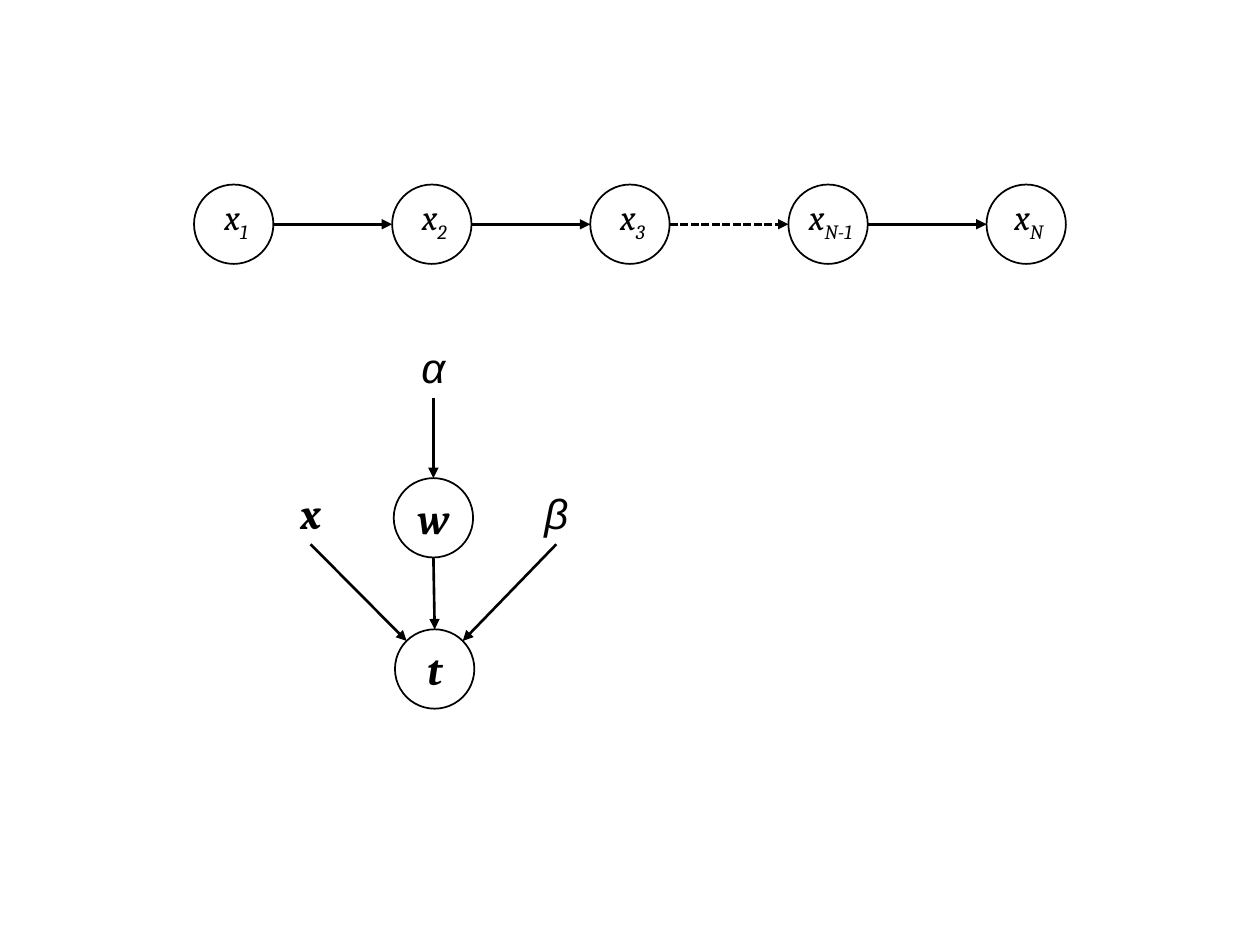
import math
from dataclasses import dataclass
from itertools import pairwise

from pptx import Presentation
from pptx import util as u
from pptx.dml.color import RGBColor
from pptx.enum import dml, shapes, text
from pptx.oxml.ns import qn
from lxml import etree

BLACK = "000000"
DIAMETER = 0.63
RADIUS = DIAMETER / 2
LABEL_W, LABEL_H = 0.49, 0.5
DIAGONAL = RADIUS * math.cos(math.pi / 4)
CHAIN_FONT = {"name": "Cambria", "size": u.Pt(20), "italic": True}
BOLD_FONT = {"name": "Cambria", "size": u.Pt(24), "bold": True, "italic": True}
GREEK_FONT = {"name": "Arial", "size": u.Pt(24), "italic": True}
CHAIN_MARGINS = {"margin_left": 0.04, "margin_top": 0, "margin_right": 0, "margin_bottom": 0.08}


@dataclass
class Node:
    symbol: str
    cx: float
    cy: float
    font: dict
    subscript: str = ""


def color(hex_code: str) -> RGBColor:
    return RGBColor.from_string(hex_code)


def write(tf, node: Node) -> None:
    tf.word_wrap = True
    p = tf.paragraphs[0]
    p.alignment = text.PP_ALIGN.CENTER
    for content, baseline in ((node.symbol, None), (node.subscript, "-25000")):
        if not content:
            continue
        r = p.add_run()
        r.text = content
        for name, value in node.font.items():
            setattr(r.font, name, value)
        r.font.color.rgb = color(BLACK)
        if baseline:
            r.font._element.set("baseline", baseline)


def draw_circle(s, node: Node, margins: dict):
    sp = s.shapes.add_shape(
        shapes.MSO_SHAPE.OVAL,
        u.Inches(node.cx - RADIUS), u.Inches(node.cy - RADIUS),
        u.Inches(DIAMETER), u.Inches(DIAMETER),
    )
    sp.shadow.inherit = False
    sp.fill.background()
    sp.line.color.rgb = color(BLACK)
    sp.line.width = u.Pt(1)
    tf = sp.text_frame
    tf.vertical_anchor = text.MSO_ANCHOR.MIDDLE
    for name, value in margins.items():
        setattr(tf, name, u.Inches(value))
    write(tf, node)
    return sp


def draw_label(s, node: Node):
    sp = s.shapes.add_textbox(
        u.Inches(node.cx - LABEL_W / 2), u.Inches(node.cy - LABEL_H / 2),
        u.Inches(LABEL_W), u.Inches(LABEL_H),
    )
    write(sp.text_frame, node)
    sp.text_frame.auto_size = text.MSO_AUTO_SIZE.SHAPE_TO_FIT_TEXT
    return sp


def draw_arrow(s, x1: float, y1: float, x2: float, y2: float, dashed: bool = False):
    line = s.shapes.add_connector(
        shapes.MSO_CONNECTOR.STRAIGHT, *(u.Inches(v) for v in (x1, y1, x2, y2))
    )
    line.line.color.rgb = color(BLACK)
    line.line.width = u.Pt(1.5)
    if dashed:
        line.line.dash_style = dml.MSO_LINE.SQUARE_DOT
    etree.SubElement(line.line._get_or_add_ln(), qn("a:tailEnd"), type="triangle")
    etree.SubElement(line._element.spPr, qn("a:effectLst"))
    return line


def draw_chain(s) -> None:
    first_x, last_x, y = 1.855, 8.145, 1.78
    subscripts = ("1", "2", "3", "N-1", "N")
    pitch = (last_x - first_x) / (len(subscripts) - 1)
    nodes = [Node("x", first_x + i * pitch, y, CHAIN_FONT, sub) for i, sub in enumerate(subscripts)]
    for node in nodes:
        draw_circle(s, node, CHAIN_MARGINS)
    for a, b in pairwise(nodes):
        draw_arrow(s, a.cx + RADIUS, y, b.cx - RADIUS, y, dashed=b.subscript == "N-1")


def draw_regression(s) -> None:
    weight = Node("w", 3.44, 4.11, BOLD_FONT)
    target = Node("t", 3.45, 5.31, BOLD_FONT)
    for node in (weight, target):
        draw_circle(s, node, {})
    draw_arrow(s, weight.cx, weight.cy + RADIUS, target.cx, target.cy - RADIUS)

    diagonal_y = target.cy - DIAGONAL
    inputs = (
        (Node("x", 2.465, 4.07, BOLD_FONT), target.cx - DIAGONAL, diagonal_y),
        (Node("β", 4.415, 4.07, GREEK_FONT), target.cx + DIAGONAL, diagonal_y),
        (Node("α", 3.44, 2.91, GREEK_FONT), weight.cx, weight.cy - RADIUS),
    )
    for node, x, y in inputs:
        sp = draw_label(s, node)
        line = draw_arrow(s, node.cx, node.cy + LABEL_H / 2, x, y)
        line.begin_connect(sp, 2)


def main() -> None:
    prs = Presentation()
    prs.slide_width, prs.slide_height = u.Inches(10), u.Inches(7.5)
    s = prs.slides.add_slide(prs.slide_layouts[6])
    draw_chain(s)
    draw_regression(s)
    prs.save("out.pptx")


if __name__ == "__main__":
    main()
